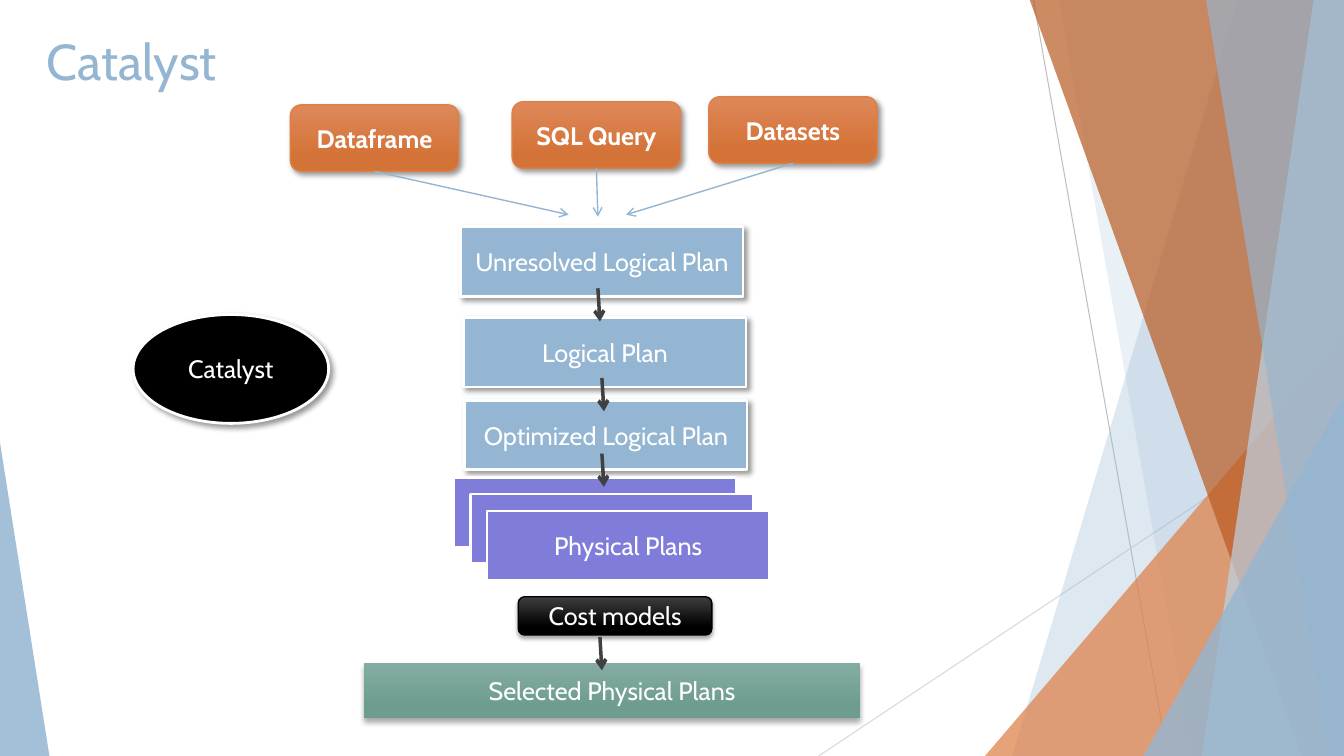
"""Builds the Catalyst query planning slide."""
from dataclasses import dataclass
from typing import Optional, Union

from lxml import etree
from pptx import Presentation
from pptx import util as u
from pptx.dml.color import RGBColor
from pptx.enum import shapes, text
from pptx.oxml import ns

EMU_PER_PX = 9144
SLIDE_W, SLIDE_H = 1333, 750
FONT = "Cabin"
COLORS = {
    "white": "FFFFFF", "black": "000000", "blue": "94B6D2", "pale_blue": "BFD3E4",
    "orange": "DD8047", "rust": "B95B22", "orange_top": "DE885A", "orange_base": "D47337",
    "purple": "807CDA", "green_top": "84ACA2", "green_base": "6E9C91",
    "charcoal": "3F3F3F", "dark_gray": "404040", "gray": "BFBFBF", "light_gray": "D9D9D9",
}
RECT = shapes.MSO_SHAPE.RECTANGLE
ROUNDED = shapes.MSO_SHAPE.ROUNDED_RECTANGLE
OVAL = shapes.MSO_SHAPE.OVAL


@dataclass(frozen=True)
class Shadow:
    alpha: int
    blur: int
    distance: int
    angle: int


@dataclass(frozen=True)
class Style:
    outline: Optional[str]
    fill: tuple[str, ...]
    shadow: Optional[Shadow] = None
    outline_pt: float = 1
    bold: bool = False


@dataclass(frozen=True)
class Node:
    label: str
    left: int
    top: int
    width: int
    height: int
    style: Style
    preset: shapes.MSO_SHAPE = RECT


@dataclass(frozen=True)
class Shard:
    top_left: int
    bottom_left: int
    color: str
    opacity: int


@dataclass(frozen=True)
class Wedge:
    left: int
    top: int
    width: int
    apex: int
    color: str
    opacity: int


@dataclass(frozen=True)
class Stroke:
    start: tuple[int, int]
    end: tuple[int, int]
    color: str
    weight: float
    arrow: bool = True


SLANTED = Shadow(40, 4, 3, 45)
INPUT = Style("orange", ("orange_top", "orange_base"), SLANTED, bold=True)
LOGICAL = Style("white", ("blue",), SLANTED, 2)
PHYSICAL = Style("white", ("purple",), None, 2)
ENGINE = Style("white", ("black",), SLANTED, 2)
SELECTED = Style(None, ("green_top", "green_base"), Shadow(35, 4, 3, 90))
COST = Style("black", ("charcoal", "black"), Shadow(35, 3, 2, 90))

BACKDROP_LINES = [
    Stroke((1025, 0), (1158, 750), "gray", 0.75, False),
    Stroke((1333, 403), (812, 750), "light_gray", 0.75, False),
]
FACETS: list[Union[Shard, Wedge]] = [
    Shard(1228, 1004, "blue", 30),
    Shard(1050, 1183, "blue", 20),
    Wedge(977, 333, 356, 1, "orange", 72),
    Shard(1021, 1291, "rust", 70),
    Shard(1303, 1192, "pale_blue", 70),
    Shard(1196, 1318, "blue", 65),
    Wedge(1134, 393, 199, 1, "blue", 80),
    Wedge(0, 439, 49, 0, "blue", 85),
]
INPUTS = [
    (Node("Dataframe", 288, 104, 167, 66, INPUT, ROUNDED), (564, 213)),
    (Node("SQL Query", 508, 101, 167, 66, INPUT, ROUNDED), (593, 215)),
    (Node("Datasets", 703, 96, 167, 66, INPUT, ROUNDED), (621, 213)),
]
PLANS = [
    Node(label, left, top, 280, 69, style)
    for label, left, top, style in [
        ("Unresolved Logical Plan", 457, 225, LOGICAL),
        ("Logical Plan", 460, 315, LOGICAL),
        ("Optimized Logical Plan", 461, 397, LOGICAL),
        ("", 450, 474, PHYSICAL),
        ("", 467, 490, PHYSICAL),
        ("Physical Plans", 483, 507, PHYSICAL),
    ]
]
OTHERS = [
    Node("Catalyst", 132, 312, 194, 108, ENGINE, OVAL),
    Node("Selected Physical Plans", 361, 658, 492, 54, SELECTED),
    Node("Cost models", 514, 592, 192, 38, COST, ROUNDED),
]
STEP_STARTS = [(593, 286), (597, 375), (597, 450), (595, 632)]


def px(length: int) -> u.Emu:
    return u.Emu(length * EMU_PER_PX)


def rgb(name: str) -> RGBColor:
    return RGBColor.from_string(COLORS[name])


def write(frame, label: str, size: int, color: str, align, bold: bool = False) -> None:
    frame.text = label
    paragraph = frame.paragraphs[0]
    paragraph.alignment = align
    font = paragraph.font
    font.name, font.size, font.bold = FONT, u.Pt(size), bold
    font.color.rgb = rgb(color)


def add_shadow(shape, shadow: Shadow) -> None:
    effects = shape.element.spPr.find(ns.qn("a:effectLst"))
    outer = etree.SubElement(
        effects, ns.qn("a:outerShdw"), blurRad=str(u.Pt(shadow.blur)),
        dist=str(u.Pt(shadow.distance)), dir=str(shadow.angle * 60000), rotWithShape="0")
    tint = etree.SubElement(outer, ns.qn("a:srgbClr"), val=COLORS["black"])
    etree.SubElement(tint, ns.qn("a:alpha"), val=str(shadow.alpha * 1000))


def add_node(slide, node: Node):
    style = node.style
    shape = slide.shapes.add_shape(
        node.preset, px(node.left), px(node.top), px(node.width), px(node.height))
    shape.shadow.inherit = False
    if len(style.fill) == 1:
        shape.fill.solid()
        shape.fill.fore_color.rgb = rgb(style.fill[0])
    else:
        shape.fill.gradient()
        shape.fill.gradient_angle = 270
        for stop, color, position in zip(shape.fill.gradient_stops, style.fill, (0, 0.78)):
            stop.color.rgb, stop.position = rgb(color), position
    if style.outline:
        shape.line.color.rgb = rgb(style.outline)
        shape.line.width = u.Pt(style.outline_pt)
    else:
        shape.line.fill.background()
    if style.shadow:
        add_shadow(shape, style.shadow)
    if node.label:
        write(shape.text_frame, node.label, 18, "white", text.PP_ALIGN.CENTER, style.bold)
    return shape


def add_facet(slide, facet: Union[Shard, Wedge]) -> None:
    if isinstance(facet, Shard):
        outline = slide.shapes.build_freeform(facet.top_left, -1, scale=EMU_PER_PX)
        outline.add_line_segments(
            [(SLIDE_W, -1), (SLIDE_W, SLIDE_H), (facet.bottom_left, SLIDE_H)])
        shape = outline.convert_to_shape()
    else:
        shape = slide.shapes.add_shape(
            shapes.MSO_SHAPE.ISOSCELES_TRIANGLE, px(facet.left), px(facet.top),
            px(facet.width), px(SLIDE_H - facet.top))
        shape.adjustments[0] = facet.apex
    shape.shadow.inherit = False
    shape.line.fill.background()
    shape.fill.solid()
    shape.fill.fore_color.rgb = rgb(facet.color)
    tint = shape.element.spPr.find(".//" + ns.qn("a:srgbClr"))
    etree.SubElement(tint, ns.qn("a:alpha"), val=str(facet.opacity * 1000))


def add_stroke(slide, stroke: Stroke):
    line = slide.shapes.add_connector(
        shapes.MSO_CONNECTOR.STRAIGHT, *map(px, stroke.start + stroke.end))
    line.line.color.rgb = rgb(stroke.color)
    line.line.width = u.Pt(stroke.weight)
    properties = line.element.spPr
    if stroke.arrow:
        etree.SubElement(properties.find(ns.qn("a:ln")), ns.qn("a:tailEnd"), type="arrow")
    etree.SubElement(properties, ns.qn("a:effectLst"))
    return line


def main() -> None:
    deck = Presentation()
    deck.slide_width, deck.slide_height = px(SLIDE_W), px(SLIDE_H)
    slide = deck.slides.add_slide(deck.slide_layouts[5])
    for stroke in BACKDROP_LINES:
        add_stroke(slide, stroke)
    for facet in FACETS:
        add_facet(slide, facet)

    title = slide.shapes.title
    title.left, title.top, title.width, title.height = map(px, (36, 25, 940, 144))
    title.text_frame.vertical_anchor = text.MSO_ANCHOR.TOP
    title.text_frame.auto_size = text.MSO_AUTO_SIZE.NONE
    write(title.text_frame, "Catalyst", 36, "blue", text.PP_ALIGN.LEFT)

    for source, target in INPUTS:
        box = add_node(slide, source)
        start = (source.left + source.width // 2, source.top + source.height)
        add_stroke(slide, Stroke(start, target, "blue", 1)).begin_connect(box, 2)
    for node in PLANS + OTHERS:
        add_node(slide, node)
    for x, y in STEP_STARTS:
        add_stroke(slide, Stroke((x, y), (x + 2, y + 33), "dark_gray", 2.5))
    deck.save("out.pptx")


if __name__ == "__main__":
    main()
